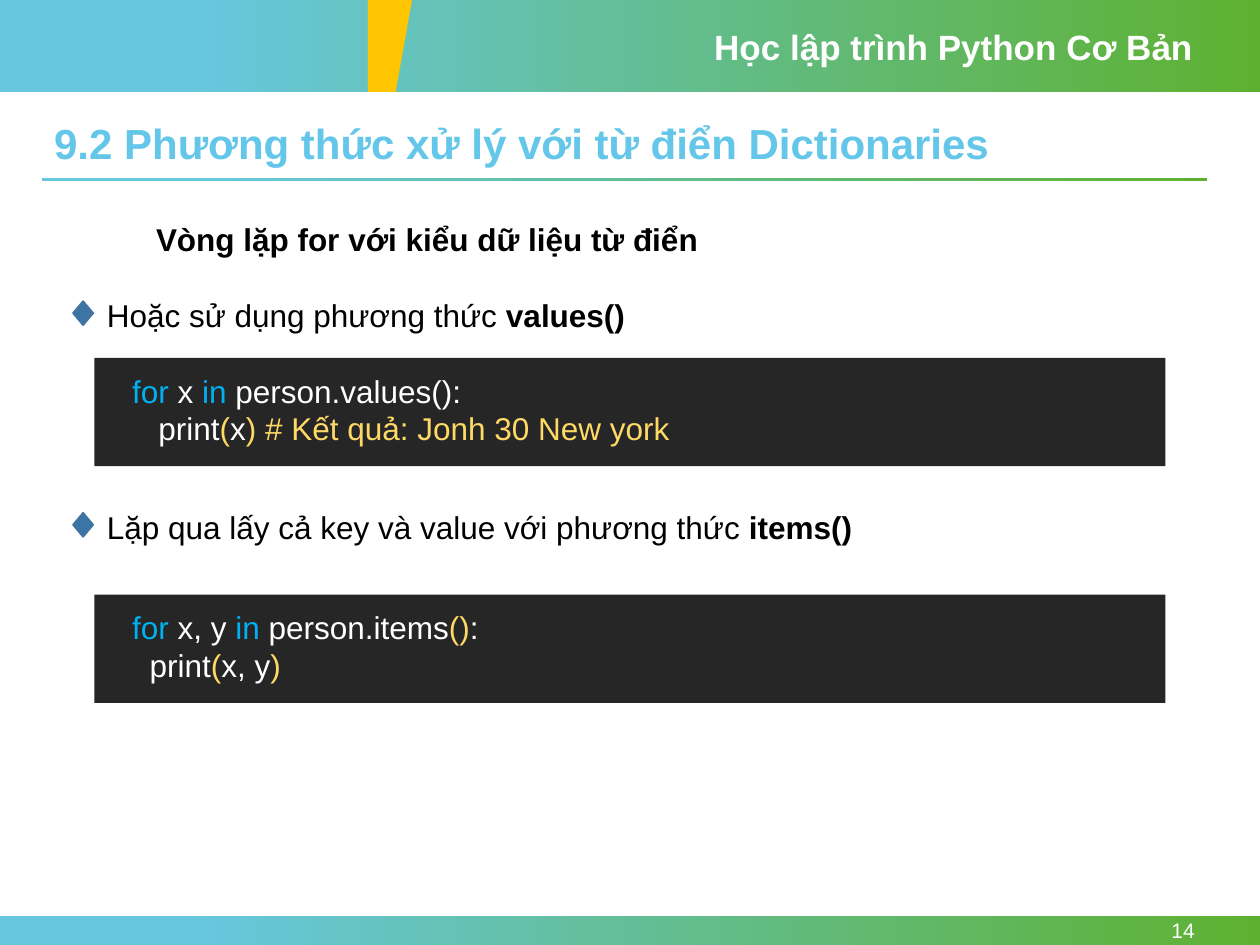
from pptx import Presentation
from pptx.dml.color import RGBColor
from pptx.enum.shapes import MSO_SHAPE
from pptx.enum.text import MSO_ANCHOR, PP_ALIGN
from pptx.util import Inches, Pt

SKY = RGBColor(0x67, 0xC7, 0xDF)
GREEN = RGBColor(0x5E, 0xB1, 0x30)
YELLOW = RGBColor(0xFF, 0xC5, 0x00)
TITLE_BLUE = RGBColor(0x64, 0xC7, 0xE9)
DIAMOND_FILL = RGBColor(0x3A, 0x75, 0xA6)
DIAMOND_LINE = RGBColor(0x43, 0x73, 0x9E)
CODE_BG = RGBColor(0x26, 0x26, 0x26)
KEYWORD = RGBColor(0x00, 0xB0, 0xF0)
ACCENT = RGBColor(0xFF, 0xD9, 0x66)
WHITE = RGBColor(0xFF, 0xFF, 0xFF)
BLACK = RGBColor(0x00, 0x00, 0x00)

VALUES_CODE = [
    [("for", KEYWORD), (" x ", WHITE), ("in ", KEYWORD),
     ("person.values():", WHITE)],
    [("   print", WHITE), ("(", ACCENT), ("x", WHITE),
     (") # Kết quả: Jonh 30 New york", ACCENT)],
]
ITEMS_CODE = [
    [("for", KEYWORD), (" x, y ", WHITE), ("in ", KEYWORD),
     ("person.items", WHITE), ("()", ACCENT), (":", WHITE)],
    [("  print", WHITE), ("(", ACCENT), ("x, y", WHITE), (")", ACCENT)],
]


def place(sp, left, top, width, height):
    sp.left, sp.top = Inches(left), Inches(top)
    sp.width, sp.height = Inches(width), Inches(height)


def add_run(p, text, size, color, bold=False):
    r = p.add_run()
    r.text = text
    r.font.name = "Arial"
    r.font.size = Pt(size)
    r.font.bold = bold
    r.font.color.rgb = color


def add_box(slide, left, top, width, height):
    """Add an empty wrapping text box and return its text frame."""
    sp = slide.shapes.add_textbox(Inches(left), Inches(top),
                                  Inches(width), Inches(height))
    sp.text_frame.word_wrap = True
    return sp.text_frame


def add_label(slide, left, top, width, height, text, size, color, bold=False):
    tf = add_box(slide, left, top, width, height)
    add_run(tf.paragraphs[0], text, size, color, bold)
    return tf


def add_solid(slide, kind, left, top, width, height, color):
    sp = slide.shapes.add_shape(kind, Inches(left), Inches(top),
                                Inches(width), Inches(height))
    sp.shadow.inherit = False
    sp.fill.solid()
    sp.fill.fore_color.rgb = color
    sp.line.fill.background()
    return sp


def add_gradient_bar(slide, left, top, width, height):
    sp = add_solid(slide, MSO_SHAPE.RECTANGLE, left, top, width, height, SKY)
    sp.fill.gradient()
    sp.fill.gradient_angle = 0
    stops = zip(sp.fill.gradient_stops, (0.15, 1), (SKY, GREEN))
    for stop, position, color in stops:
        stop.position = position
        stop.color.rgb = color


def add_header_wedge(slide):
    builder = slide.shapes.build_freeform(Inches(2.92), 0)
    corners = [(3.27, 0), (3.14, 0.73), (2.92, 0.73)]
    builder.add_line_segments([(Inches(x), Inches(y)) for x, y in corners])
    sp = builder.convert_to_shape()
    sp.shadow.inherit = False
    sp.fill.solid()
    sp.fill.fore_color.rgb = YELLOW
    sp.line.fill.background()


def add_title(slide, text):
    title = slide.shapes.title
    place(title, 0.33, 0.93, 9.25, 0.46)
    tf = title.text_frame
    tf.vertical_anchor = MSO_ANCHOR.MIDDLE
    p = tf.paragraphs[0]
    p.alignment = PP_ALIGN.LEFT
    p.line_spacing = 0.9
    add_run(p, text, 24, TITLE_BLUE, True)


def add_point(slide, top, text, method):
    """Add a diamond marker and a line that ends in a bold method name."""
    sp = add_solid(slide, MSO_SHAPE.FLOWCHART_DECISION,
                   0.58, top + 0.09, 0.16, 0.19, DIAMOND_FILL)
    sp.line.color.rgb = DIAMOND_LINE
    sp.line.width = Pt(1)
    tf = add_label(slide, 0.75, top, 8.83, 0.4, text, 18, BLACK)
    add_run(tf.paragraphs[0], method, 18, BLACK, True)


def add_code(slide, top, lines):
    add_solid(slide, MSO_SHAPE.RECTANGLE, 0.75, top, 8.5, 0.86, CODE_BG)
    tf = add_box(slide, 0.95, top + 0.06, 8.12, 0.71)
    for i, line in enumerate(lines):
        p = tf.add_paragraph() if i else tf.paragraphs[0]
        for text, color in line:
            add_run(p, text, 18, color)


def main():
    prs = Presentation()
    prs.slide_width, prs.slide_height = Inches(10), Inches(7.5)
    slide = prs.slides.add_slide(prs.slide_layouts[5])

    add_gradient_bar(slide, 0, 0, 10, 0.73)
    add_gradient_bar(slide, 0, 7.27, 10, 0.23)
    add_gradient_bar(slide, 0.33, 1.41, 9.25, 0.03)
    add_header_wedge(slide)
    add_label(slide, 5.57, 0.15, 4, 0.44,
              "Học lập trình Python Cơ Bản", 20, WHITE, True)
    number = add_label(slide, 8.66, 7.27, 0.92, 0.23, "14", 12, WHITE)
    number.vertical_anchor = MSO_ANCHOR.MIDDLE
    number.paragraphs[0].alignment = PP_ALIGN.RIGHT

    add_title(slide, "9.2 Phương thức xử lý với từ điển Dictionaries")
    add_label(slide, 1.14, 1.7, 7.03, 0.4,
              "Vòng lặp for với kiểu dữ liệu từ điển", 18, BLACK, True)
    add_point(slide, 2.3, "Hoặc sử dụng phương thức ", "values()")
    add_code(slide, 2.84, VALUES_CODE)
    add_point(slide, 3.98, "Lặp qua lấy cả key và value với phương thức ",
              "items()")
    add_code(slide, 4.72, ITEMS_CODE)

    prs.save("out.pptx")


if __name__ == "__main__":
    main()
